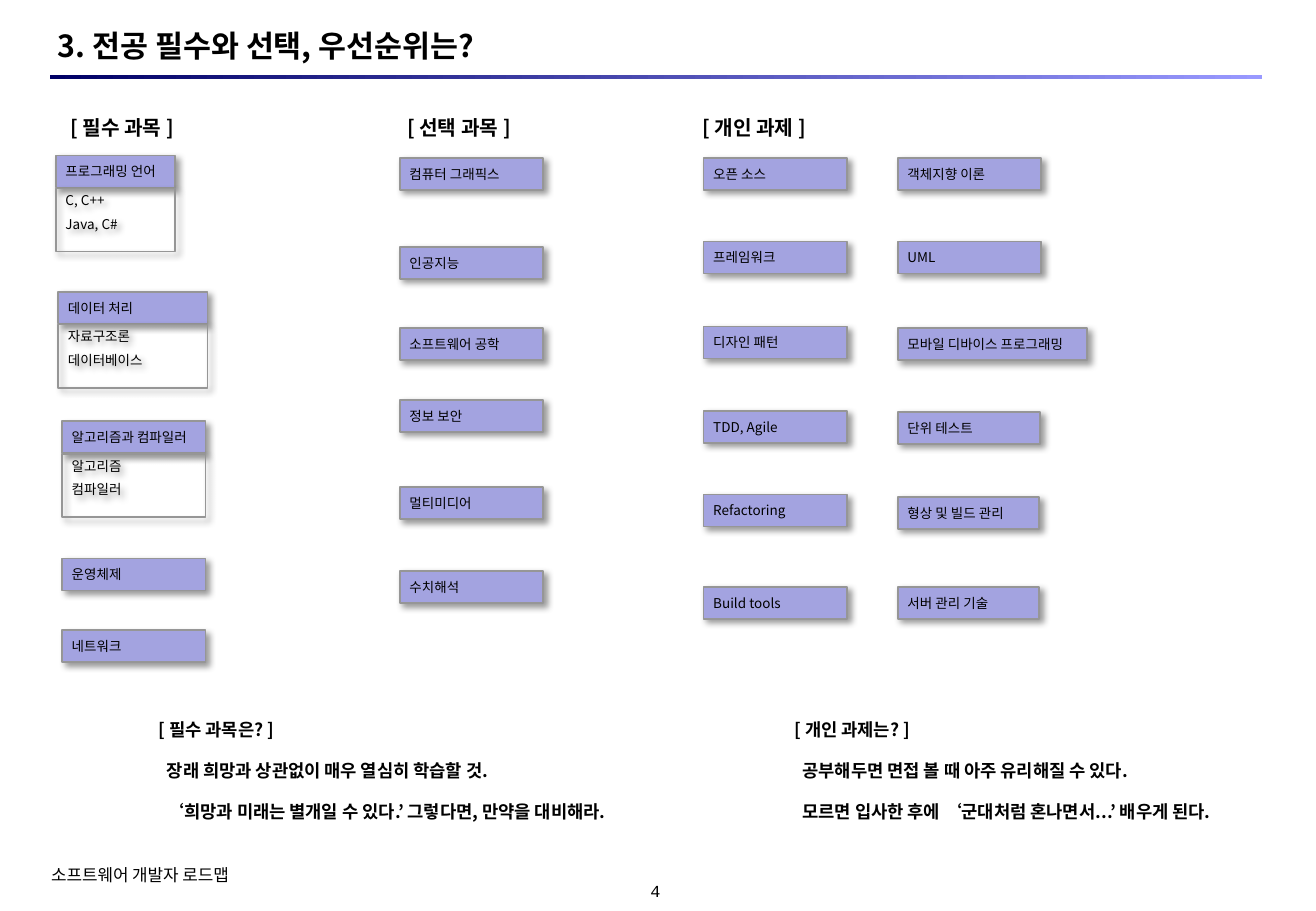
from dataclasses import dataclass

from lxml import etree
from pptx import Presentation
from pptx import util as u
from pptx.dml.color import RGBColor
from pptx.enum import shapes, text
from pptx.oxml import ns
from pptx.util import Cm, Pt


@dataclass(frozen=True)
class Theme:
    font: str = "Noto Sans CJK KR"
    number_font: str = "Courier New"
    ink: str = "000000"
    label: str = "A3A3E0"
    border: str = "969696"
    rule_start: str = "000066"
    rule_end: str = "9999FF"
    title: float = 18
    heading: float = 12
    note: float = 10.5
    footer: float = 10
    subject: float = 8


THEME = Theme()
LABEL_HEIGHT = 0.67
BODY_OFFSET = 0.69
BODY_HEIGHT = 1.32

# Headings: text, left
HEADINGS = [("[ 필수 과목 ]", 1.22), ("[ 선택 과목 ]", 8.26), ("[ 개인 과제 ]", 14.43)]

# Required subjects: label, left, top, width, topics
REQUIRED = [
    ("프로그래밍 언어", 1.17, 3.25, 2.49, ["C, C++", "Java, C#"]),
    ("데이터 처리", 1.22, 6.1, 3.12, ["자료구조론", "데이터베이스"]),
    ("알고리즘과 컴파일러", 1.3, 8.81, 3, ["알고리즘", "컴파일러"]),
    ("운영체제", 1.3, 11.68, 3, []),
    ("네트워크", 1.3, 13.18, 3, []),
]

# Other columns: left, then label, top, width
COLUMNS = [
    (8.36, [("컴퓨터 그래픽스", 3.3, 3), ("인공지능", 5.16, 3),
            ("소프트웨어 공학", 6.86, 3), ("정보 보안", 8.36, 3),
            ("멀티미디어", 10.19, 3), ("수치해석", 11.94, 3)]),
    (14.71, [("오픈 소스", 3.3, 3), ("프레임워크", 5.05, 3),
             ("디자인 패턴", 6.83, 3), ("TDD, Agile", 8.59, 3),
             ("Refactoring", 10.34, 3), ("Build tools", 12.27, 3)]),
    (18.77, [("객체지향 이론", 3.3, 3), ("UML", 5.05, 3),
             ("모바일 디바이스 프로그래밍", 6.86, 3.96), ("단위 테스트", 8.61, 2.97),
             ("형상 및 빌드 관리", 10.39, 2.95), ("서버 관리 기술", 12.27, 2.95)]),
]

# Notes: left, width, lines
NOTES = [
    (3.07, 10.82, ["[ 필수 과목은? ]",
                   "장래 희망과 상관없이 매우 열심히 학습할 것.",
                   "‘희망과 미래는 별개일 수 있다.’ 그렇다면, 만약을 대비해라."]),
    (16.36, 10.06, ["[ 개인 과제는? ]",
                    "공부해두면 면접 볼 때 아주 유리해질 수 있다.",
                    "모르면 입사한 후에 ‘군대처럼 혼나면서...’ 배우게 된다."]),
]


def color(value):
    return RGBColor.from_string(value)


def write(box, lines, *, size, font=THEME.font, bold=False, inset=(0, 0, 0, 0),
          middle=False, align=text.PP_ALIGN.LEFT, line=None, gap=0, indent=0):
    """Fill a box with paragraphs; indent applies after the first one."""
    frame = box.text_frame
    frame.word_wrap = True
    frame.vertical_anchor = text.MSO_ANCHOR.MIDDLE if middle else text.MSO_ANCHOR.TOP
    frame.margin_left, frame.margin_top, frame.margin_right, frame.margin_bottom = map(Cm, inset)
    for index, words in enumerate(lines):
        para = frame.add_paragraph() if index else frame.paragraphs[0]
        para.alignment = align
        if line:
            para.line_spacing = Pt(line)
        if index:
            para.space_before = Pt(gap)
            if indent:
                para._p.get_or_add_pPr().set("marL", str(Cm(indent)))
        span = para.add_run()
        span.text = words
        span.font.name = font
        span.font.size = Pt(size)
        span.font.bold = bold
        span.font.color.rgb = color(THEME.ink)
        east_asian = etree.SubElement(span.font._element, ns.qn("a:ea"))
        east_asian.set("typeface", font)


def add_text(page, lines, left, top, width, height, **style):
    box = page.shapes.add_textbox(Cm(left), Cm(top), Cm(width), Cm(height))
    write(box, lines, **style)


def add_rectangle(page, left, top, width, height):
    return page.shapes.add_shape(
        shapes.MSO_SHAPE.RECTANGLE, Cm(left), Cm(top), Cm(width), Cm(height))


def add_shadow(box):
    box.shadow.inherit = False
    effects = box._element.spPr.find(ns.qn("a:effectLst"))
    shadow = etree.SubElement(
        effects, ns.qn("a:outerShdw"), blurRad=str(Pt(4)), dist=str(Pt(3)),
        dir=str(45 * 60000), algn="tl", rotWithShape="0")
    tint = etree.SubElement(shadow, ns.qn("a:srgbClr"), val=THEME.ink)
    etree.SubElement(tint, ns.qn("a:alpha"), val="40000")


def add_panel(page, lines, left, top, width, height, fill=None, **style):
    box = add_rectangle(page, left, top, width, height)
    if fill:
        box.fill.solid()
        box.fill.fore_color.rgb = color(fill)
    else:
        box.fill.background()
    box.line.color.rgb = color(THEME.border)
    box.line.width = Pt(1)
    add_shadow(box)
    write(box, lines, size=THEME.subject, inset=(0.2,) * 4, **style)


def add_subject(page, label, left, top, width, topics=()):
    add_panel(page, [label], left, top, width, LABEL_HEIGHT, fill=THEME.label, middle=True)
    if topics:
        add_panel(page, topics, left, top + BODY_OFFSET, width, BODY_HEIGHT, line=6, gap=8)


def add_rule(page):
    rule = add_rectangle(page, 1.04, 1.57, 25.35, 0.08)
    rule.shadow.inherit = False
    rule.line.fill.background()
    rule.fill.gradient()
    rule.fill.gradient_angle = 0
    for stop, value in zip(rule.fill.gradient_stops, (THEME.rule_start, THEME.rule_end)):
        stop.color.rgb = color(value)


def main():
    deck = Presentation()
    deck.slide_width, deck.slide_height = u.Cm(27.51), u.Cm(19.05)
    page = deck.slides.add_slide(deck.slide_layouts[6])

    # Title, rule and footer
    add_rule(page)
    add_text(page, ["3. 전공 필수와 선택, 우선순위는?"], 1.07, 0.56, 25.32, 0.76,
             size=THEME.title, bold=True, middle=True, inset=(0.14, 0, 0, 0))
    add_text(page, ["소프트웨어 개발자 로드맵"], 1.02, 18.06, 7.85, 0.48,
             size=THEME.footer, inset=(0.05, 0.02, 0.05, 0.02))
    add_text(page, ["4"], 12.85, 18.42, 1.7, 0.43, size=THEME.footer,
             font=THEME.number_font, middle=True, align=text.PP_ALIGN.CENTER)

    # Subject columns
    margins = (0.25, 0.13, 0.25, 0.13)
    for heading, left in HEADINGS:
        add_text(page, [heading], left, 2.01, 3.6, 1.03, size=THEME.heading,
                 bold=True, inset=margins, line=22)
    for subject in REQUIRED:
        add_subject(page, *subject)
    for left, subjects in COLUMNS:
        for label, top, width in subjects:
            add_subject(page, label, left, top, width)

    # Advice at the bottom
    for left, width, lines in NOTES:
        add_text(page, lines, left, 14.68, width, 2.72, size=THEME.note, bold=True,
                 inset=margins, line=19, gap=5.25, indent=0.17)

    deck.save("out.pptx")


if __name__ == "__main__":
    main()
